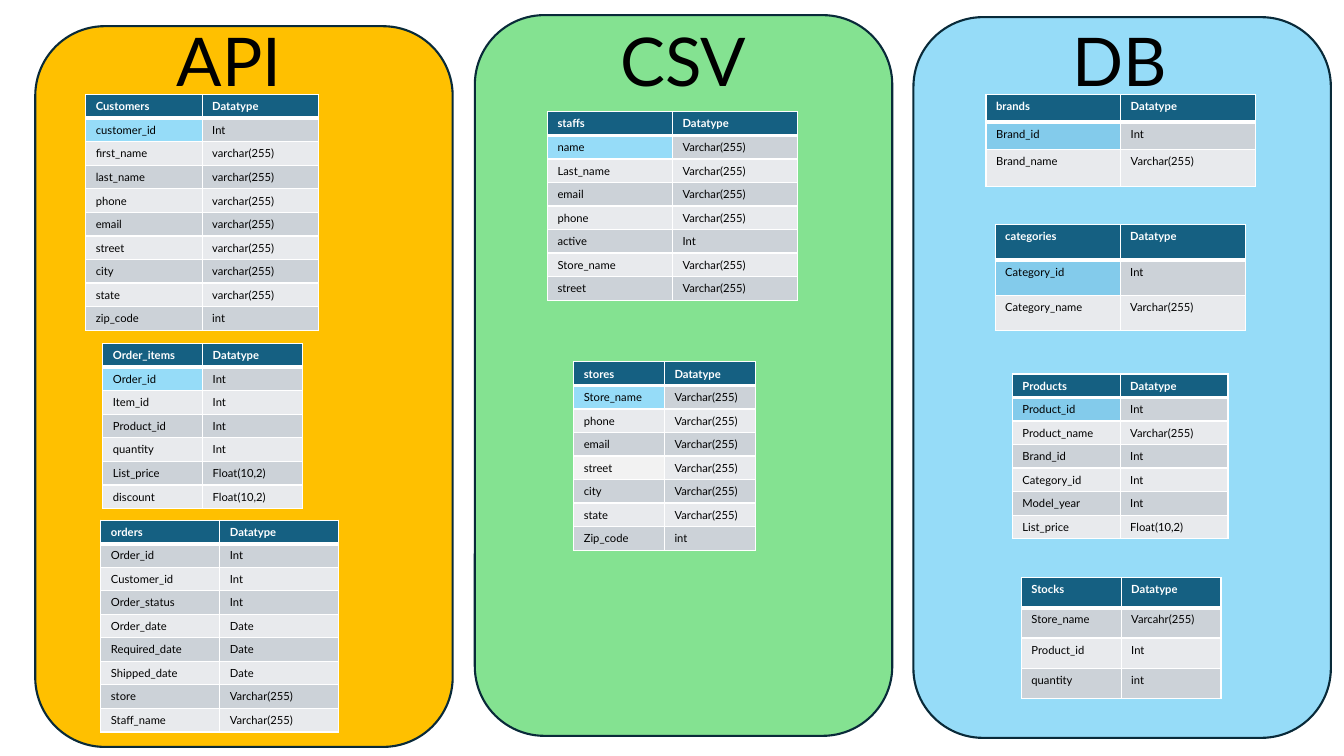
from dataclasses import dataclass

from lxml import etree
from pptx import Presentation
from pptx.dml.color import RGBColor
from pptx.enum import shapes, text
from pptx.oxml import ns
from pptx.util import Inches, Pt


@dataclass(frozen=True)
class Theme:
    font: str = "Lato"
    heading_size: int = 48
    cell_size: int = 8
    ink: str = "000000"
    white: str = "FFFFFF"
    outline: str = "092A39"
    header: str = "156082"
    odd_row: str = "CCD2D8"
    even_row: str = "E8EAED"
    pale_row: str = "F2F2F2"
    light_key: str = "96DCF8"
    deep_key: str = "83CBEB"
    api: str = "FFC000"
    csv: str = "84E291"
    db: str = "96DCF8"


THEME = Theme()
ROW = 0.233
PANEL_SIZE = (4.14, 7.15)
HEADING_TOP = 0.14
HEADING_SIZE = (1.8, 0.91)

PANELS = [
    (9.06, 0.17, THEME.db),
    (4.71, 0.15, THEME.csv),
    (0.35, 0.26, THEME.api),
]

HEADINGS = [("API", 2.27), ("CSV", 6.78), ("DB", 11.11)]


def typed(datatype, *names):
    return [(name, datatype) for name in names]


ENTITIES = [
    ("Customers", 0.85, 0.94, 2.31, [ROW] * 10, {1: THEME.light_key},
     typed("Int", "customer_id")
     + typed("varchar(255)", "first_name", "last_name", "phone", "email",
             "street", "city", "state")
     + typed("int", "zip_code")),
    ("Order_items", 1.02, 3.41, 1.98, [ROW] * 7, {1: THEME.light_key},
     typed("Int", "Order_id", "Item_id", "Product_id", "quantity")
     + typed("Float(10,2)", "List_price", "discount")),
    ("orders", 1.0, 5.16, 2.36, [ROW] * 9, {},
     typed("Int", "Order_id", "Customer_id", "Order_status")
     + typed("Date", "Order_date", "Required_date", "Shipped_date")
     + typed("Varchar(255)", "store", "Staff_name")),
    ("staffs", 5.43, 1.11, 2.48, [ROW] * 8, {1: THEME.light_key},
     typed("Varchar(255)", "name", "Last_name", "email", "phone")
     + typed("Int", "active")
     + typed("Varchar(255)", "Store_name", "street")),
    ("stores", 5.69, 3.59, 1.8, [ROW] * 8,
     {1: THEME.light_key, 4: THEME.pale_row},
     typed("Varchar(255)", "Store_name", "phone", "email", "street", "city",
           "state")
     + typed("int", "Zip_code")),
    ("brands", 9.78, 0.94, 2.67, [0.27, 0.27, 0.37], {1: THEME.deep_key},
     typed("Int", "Brand_id") + typed("Varchar(255)", "Brand_name")),
    ("categories", 9.87, 2.23, 2.48, [0.35] * 3, {1: THEME.deep_key},
     typed("Int", "Category_id") + typed("Varchar(255)", "Category_name")),
    ("Products", 10.04, 3.71, 2.14, [ROW] * 7, {1: THEME.deep_key},
     typed("Int", "Product_id")
     + typed("Varchar(255)", "Product_name")
     + typed("Int", "Brand_id", "Category_id", "Model_year")
     + typed("Float(10,2)", "List_price")),
    ("Stocks", 10.13, 5.73, 1.98, [0.3] * 4, {},
     typed("Varcahr(255)", "Store_name")
     + typed("Int", "Product_id")
     + typed("int", "quantity")),
]


def paint(fill, color):
    fill.solid()
    fill.fore_color.rgb = RGBColor.from_string(color)


def format_text(frame, size, color, bold=False):
    font = frame.paragraphs[0].runs[0].font
    font.name = THEME.font
    font.size = Pt(size)
    font.bold = bold
    font.color.rgb = RGBColor.from_string(color)


def add_panel(slide, left, top, color):
    panel = slide.shapes.add_shape(
        shapes.MSO_SHAPE.ROUNDED_RECTANGLE, Inches(left), Inches(top),
        *map(Inches, PANEL_SIZE))
    panel.shadow.inherit = False
    paint(panel.fill, color)
    panel.line.color.rgb = RGBColor.from_string(THEME.outline)
    panel.line.width = Pt(1.5)


def add_heading(slide, label, center):
    width, height = HEADING_SIZE
    heading = slide.shapes.add_textbox(
        Inches(center - width / 2), Inches(HEADING_TOP), Inches(width),
        Inches(height))
    frame = heading.text_frame
    frame.text = label
    frame.word_wrap = True
    frame.paragraphs[0].alignment = text.PP_ALIGN.CENTER
    format_text(frame, THEME.heading_size, THEME.ink)


def set_borders(cell, row):
    properties = cell._tc.get_or_add_tcPr()
    widths = {"lnL": 1, "lnR": 1, "lnT": 3 if row == 1 else 1,
              "lnB": 3 if row == 0 else 1}
    for position, (side, width) in enumerate(widths.items()):
        border = etree.Element(ns.qn(f"a:{side}"), w=str(Pt(width)))
        fill = etree.SubElement(border, ns.qn("a:solidFill"))
        etree.SubElement(fill, ns.qn("a:srgbClr"), val=THEME.white)
        properties.insert(position, border)


def row_color(row):
    if row == 0:
        return THEME.header
    return THEME.odd_row if row % 2 else THEME.even_row


def add_entity(slide, name, left, top, width, heights, accents, fields):
    records = [(name, "Datatype")] + fields
    table = slide.shapes.add_table(
        len(records), 2, Inches(left), Inches(top), Inches(width),
        Inches(sum(heights))).table
    for column in table.columns:
        column.width = Inches(width / 2)
    for row, (record, height) in enumerate(zip(records, heights)):
        table.rows[row].height = Inches(height)
        for column, value in enumerate(record):
            cell = table.cell(row, column)
            cell.text_frame.text = value
            format_text(cell.text_frame, THEME.cell_size,
                        THEME.ink if row else THEME.white, bold=row == 0)
            accent = accents.get(row) if column == 0 else None
            paint(cell.fill, accent or row_color(row))
            set_borders(cell, row)


def main():
    deck = Presentation()
    deck.slide_width, deck.slide_height = Inches(13.33), Inches(7.5)
    slide = deck.slides.add_slide(deck.slide_layouts[6])
    for panel in PANELS:
        add_panel(slide, *panel)
    for heading in HEADINGS:
        add_heading(slide, *heading)
    for entity in ENTITIES:
        add_entity(slide, *entity)
    deck.save("out.pptx")


if __name__ == "__main__":
    main()
